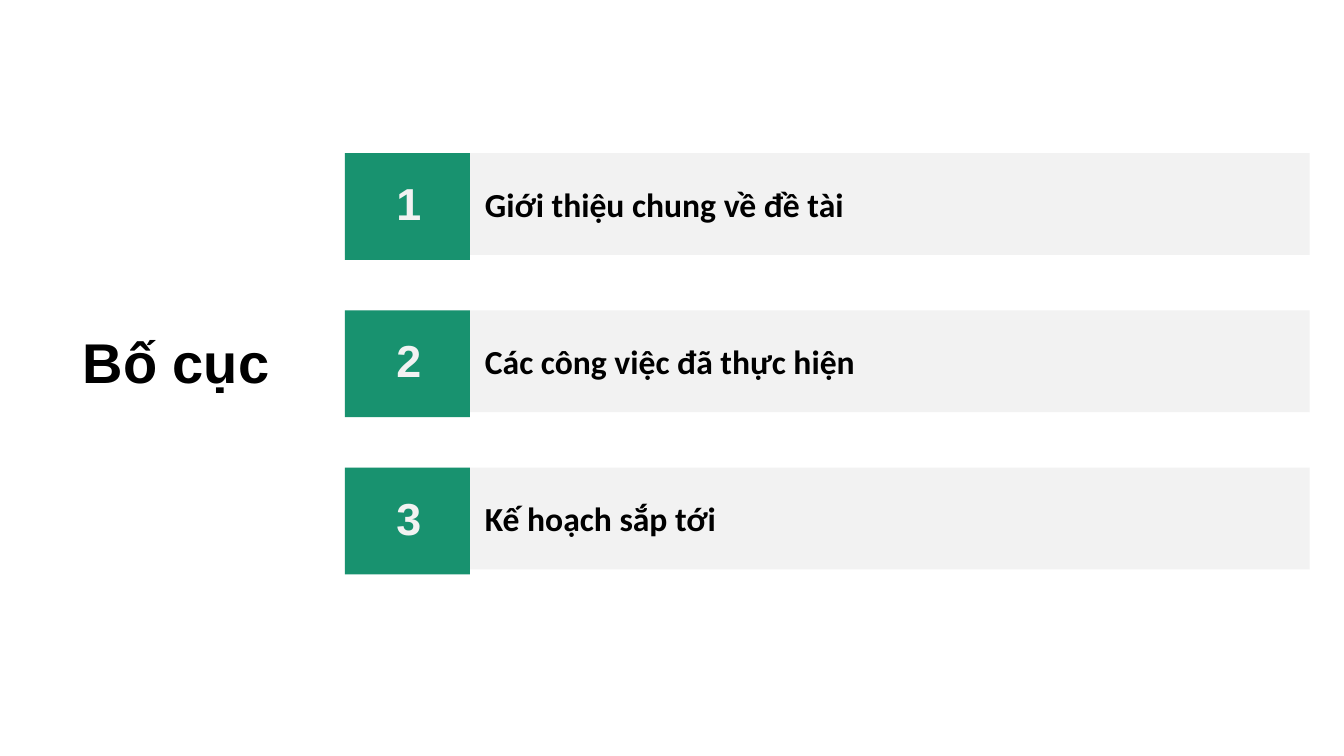
from pptx import Presentation
from pptx.dml.color import RGBColor
from pptx.enum import shapes, text

PX = 9144  # 100 px to the inch
GREEN = RGBColor(0x18, 0x92, 0x6F)
GREY = RGBColor(0xF2, 0xF2, 0xF2)
BLACK = RGBColor(0, 0, 0)

SECTIONS = ["Giới thiệu chung về đề tài", "Các công việc đã thực hiện", "Kế hoạch sắp tới"]
FIRST_TOP, ROW_STEP = 152, 156

prs = Presentation()
prs.slide_width, prs.slide_height = 1333 * PX, 750 * PX
slide = prs.slides.add_slide(prs.slide_layouts[5])


def add_block(left, top, width, height, color):
    block = slide.shapes.add_shape(
        shapes.MSO_SHAPE.RECTANGLE, left * PX, top * PX, width * PX, height * PX)
    block.shadow.inherit = False
    block.fill.solid()
    block.fill.fore_color.rgb = color
    block.line.fill.background()


def write(box, words, size, font, color, align, spacing, anchor, inset=0):
    frame = box.text_frame
    frame.word_wrap = True
    frame.auto_size = text.MSO_AUTO_SIZE.NONE
    frame.vertical_anchor = anchor
    frame.margin_left = frame.margin_right = 0
    frame.margin_top = frame.margin_bottom = inset * PX
    paragraph = frame.paragraphs[0]
    paragraph.alignment = align
    paragraph.line_spacing = spacing
    run = paragraph.add_run()
    run.text = words
    run.font.size = size * 12700
    run.font.name = font
    run.font.bold = True
    run.font.color.rgb = color


# Title
title = slide.shapes.title
title.left, title.top, title.width, title.height = 82 * PX, 325 * PX, 289 * PX, 73 * PX
write(title, "Bố cục", 40, "Arial", BLACK, text.PP_ALIGN.LEFT, 0.9,
      text.MSO_ANCHOR.BOTTOM, inset=5)

# Numbered sections
for index, section in enumerate(SECTIONS):
    top = FIRST_TOP + index * ROW_STEP
    add_block(342, top, 957, 101, GREY)
    label = slide.shapes.add_textbox(481 * PX, (top + 18) * PX, 401 * PX, 44 * PX)
    write(label, section, 24, "Calibri", BLACK, text.PP_ALIGN.LEFT, 1.5,
          text.MSO_ANCHOR.MIDDLE)
    add_block(342, top, 124, 106, GREEN)
    number = slide.shapes.add_textbox(361 * PX, (top + 18) * PX, 89 * PX, 62 * PX)
    write(number, str(index + 1), 32, "Arial", GREY, text.PP_ALIGN.CENTER, 1.0,
          text.MSO_ANCHOR.MIDDLE)

prs.save("out.pptx")
